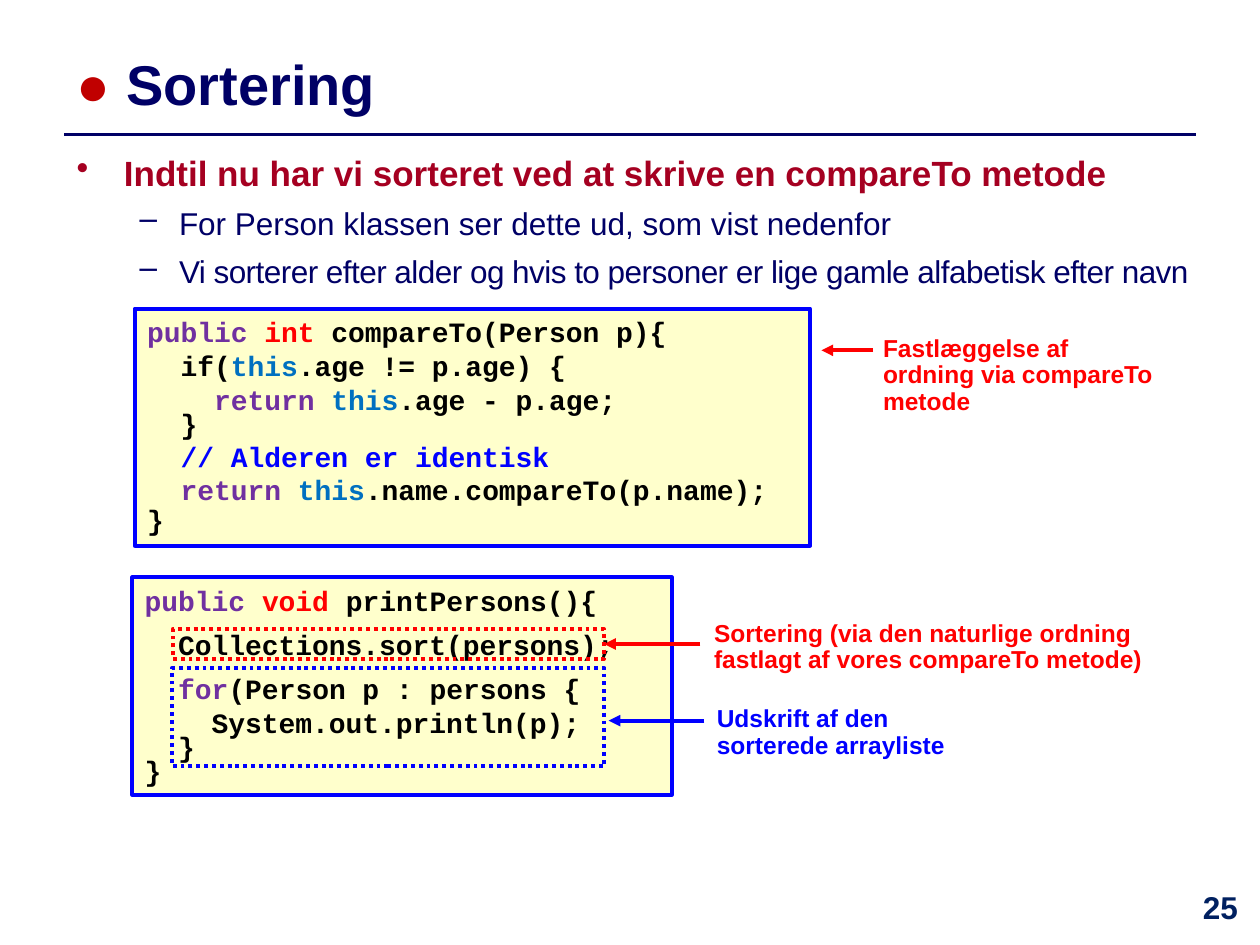
from dataclasses import dataclass
from typing import Optional

import pptx
import pptx.dml.color
import pptx.enum.dml
import pptx.enum.shapes
import pptx.enum.text
import pptx.oxml
import pptx.oxml.ns
import pptx.util

Pt = pptx.util.Pt
ALIGN = pptx.enum.text.PP_ALIGN
ANCHOR = pptx.enum.text.MSO_ANCHOR
NAVY, RED, BLUE, BLACK = "000066", "FF0000", "0000FF", "000000"
PURPLE, SKY, CREAM = "7030A0", "0070C0", "FFFFCC"
NS = pptx.oxml.ns.nsdecls("a")


@dataclass
class Run:
    text: str
    color: str = BLACK
    size: float = 16
    font: str = "Arial"
    bold: bool = True
    spacing: float = 0


@dataclass
class Para:
    runs: list
    before: float = 0
    line: float = 1.0
    align: ALIGN = ALIGN.LEFT
    bullet: str = ""
    indent: tuple = (0, 0)
    level: int = 0


@dataclass
class Box:
    left: float
    top: float
    width: float
    height: float

    def lengths(self) -> list:
        return [Pt(v) for v in (self.left, self.top, self.width, self.height)]


@dataclass
class Callout:
    text: str
    color: str
    box: Box
    start: float
    end: float
    y: float
    target: Optional[Box] = None
    joined: bool = False


def rgb(value: str):
    return pptx.dml.color.RGBColor.from_string(value)


def write(tf, paras: list, anchor=ANCHOR.TOP) -> None:
    tf.word_wrap = True
    tf.vertical_anchor = anchor
    for i, para in enumerate(paras):
        p = tf.paragraphs[0] if i == 0 else tf.add_paragraph()
        if para.bullet:
            pPr = p._p.get_or_add_pPr()
            for name, value in zip(("marL", "indent"), para.indent):
                pPr.set(name, str(int(Pt(value))))
            pPr.append(pptx.oxml.parse_xml(f'<a:buChar {NS} char="{para.bullet}"/>'))
        formats = {"alignment": para.align, "level": para.level,
                   "line_spacing": para.line, "space_before": Pt(para.before)}
        for name, value in formats.items():
            setattr(p, name, value)
        for run in para.runs:
            r = p.add_run()
            r.text = run.text
            formats = {"name": run.font, "size": Pt(run.size), "bold": run.bold}
            for name, value in formats.items():
                setattr(r.font, name, value)
            r.font.color.rgb = rgb(run.color)
            if run.spacing:
                r._r.get_or_add_rPr().set("spc", str(round(run.spacing * 100)))


def add_text(s, box: Box, paras: list) -> None:
    write(s.shapes.add_textbox(*box.lengths()).text_frame, paras)


def add_rect(s, box: Box, color: str, fill: str = "", dotted: bool = False):
    sp = s.shapes.add_shape(pptx.enum.shapes.MSO_SHAPE.RECTANGLE, *box.lengths())
    sp.shadow.inherit = False
    if fill:
        sp.fill.solid()
        sp.fill.fore_color.rgb = rgb(fill)
    else:
        sp.fill.background()
    sp.line.color.rgb = rgb(color)
    sp.line.width = Pt(2.25)
    if dotted:
        sp.line.dash_style = pptx.enum.dml.MSO_LINE.ROUND_DOT
    return sp


def add_line(s, x1: float, x2: float, y: float, color: str, width: float, arrow=False):
    kind = pptx.enum.shapes.MSO_CONNECTOR.STRAIGHT
    line = s.shapes.add_connector(kind, Pt(x1), Pt(y), Pt(x2), Pt(y))
    line.line.color.rgb = rgb(color)
    line.line.width = Pt(width)
    if arrow:
        line.line._get_or_add_ln().append(
            pptx.oxml.parse_xml(f'<a:tailEnd {NS} type="triangle"/>'))
    line._element.spPr.append(pptx.oxml.parse_xml(f"<a:effectLst {NS}/>"))
    return line


def add_callout(s, c: Callout) -> None:
    add_text(s, c.box, [Para([Run(c.text, c.color, 14)], line=0.9)])
    arrow = add_line(s, c.start, c.end, c.y, c.color, 2.25, arrow=True)
    if c.target:
        sp = add_rect(s, c.target, c.color, dotted=True)
        if c.joined:
            arrow.end_connect(sp, 3)


def code(*parts, before: float = 0, line: float = 1.0) -> Para:
    """One code line; a part is plain text or a (text, colour) pair."""
    pairs = [(part, BLACK) if isinstance(part, str) else part for part in parts]
    return Para([Run(t, c, font="Courier New") for t, c in pairs], before, line)


def dash(text: str, spacing: float = 0) -> Para:
    run = Run(text, NAVY, 18, bold=False, spacing=spacing)
    return Para([run], 6, bullet="–", indent=(58.5, -22.5), level=1)


PUBLIC, RETURN, THIS = ("public ", PURPLE), ("return ", PURPLE), ("this", SKY)

CODE_BOXES = [
    (Box(77, 176.4, 386, 135.4), [
        code(PUBLIC, ("int ", RED), "compareTo(Person p){"),
        code("  if(", THIS, ".age != p.age) {"),
        code("    ", RETURN, THIS, ".age - p.age;"),
        code("  }", line=0.7),
        code("  ", ("// Alderen er identisk", BLUE)),
        code("  ", RETURN, THIS, ".name.compareTo(p.name);"),
        code("}", before=3.2, line=0.7)]),
    (Box(75.6, 329.8, 308.2, 124.4), [
        code(PUBLIC, ("void ", RED), "printPersons(){"),
        code("  Collections.sort(persons);", before=6),
        code("  ", ("for", PURPLE), "(Person p : persons {", before=6),
        code("    System.out.println(p);"),
        code("  }", line=0.7),
        code("}", line=0.7)]),
]

CALLOUTS = [
    Callout("Fastlæggelse af ordning via compareTo metode", RED,
            Box(497.5, 188.6, 176.4, 38.2), 499, 469.4, 200.2),
    Callout("Sortering (via den naturlige ordning fastlagt af vores compareTo metode)",
            RED, Box(401, 351.4, 283.7, 38.2), 400.3, 345.2, 368,
            Box(98.8, 359.4, 246.4, 17.2), joined=True),
    Callout("Udskrift af den sorterede arrayliste", BLUE,
            Box(402.5, 400.3, 144.7, 38.2), 402.5, 347.8, 411.8,
            Box(98.4, 381.6, 247, 56.2)),
]


def main() -> None:
    prs = pptx.Presentation()
    prs.slide_width, prs.slide_height = Pt(720), Pt(540)
    s = prs.slides.add_slide(prs.slide_layouts[5])

    # Title with rule
    title = s.shapes.title
    title.left, title.top, title.width, title.height = Box(36.7, 20.2, 646.6, 54).lengths()
    write(title.text_frame, [Para([Run("● ", "C00000", 32), Run("Sortering", NAVY, 32)])],
          ANCHOR.MIDDLE)
    add_line(s, 36.7, 683.3, 77, NAVY, 2)

    # Bullets
    lead = Run("Indtil nu har vi sorteret ved at skrive en compareTo metode", "A50021", 20)
    add_text(s, Box(36.7, 82.8, 669, 88.6), [
        Para([lead], bullet="•", indent=(27, -27)),
        dash("For Person klassen ser dette ud, som vist nedenfor"),
        dash("Vi sorterer efter alder og hvis to personer er lige gamle "
             "alfabetisk efter navn", spacing=-0.3)])

    # Code and its callouts
    for box, lines in CODE_BOXES:
        write(add_rect(s, box, BLUE, CREAM).text_frame, lines)
    for callout in CALLOUTS:
        add_callout(s, callout)

    # Page number
    add_text(s, Box(671.8, 504, 51.1, 36),
             [Para([Run("25", "002060", 18)], align=ALIGN.CENTER)])
    prs.save("out.pptx")


if __name__ == "__main__":
    main()
